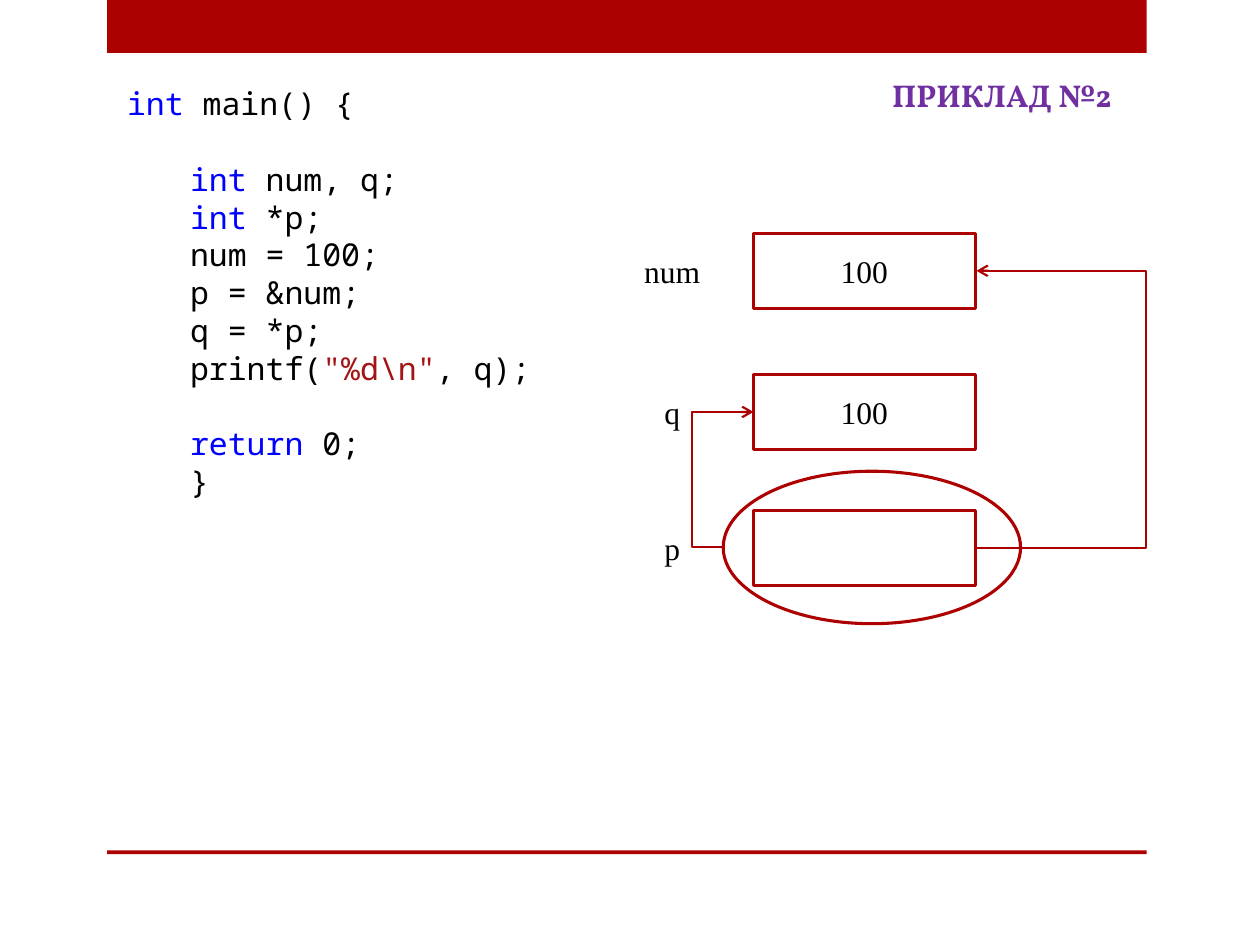
import pptx
import pptx.dml.color
import pptx.enum.shapes
import pptx.enum.text
import pptx.oxml
import pptx.oxml.ns
import pptx.util
from pptx.util import Inches

RED = pptx.dml.color.RGBColor(0xAD, 0x01, 0x01)
WHITE = pptx.dml.color.RGBColor(0xFF, 0xFF, 0xFF)
BLACK = pptx.dml.color.RGBColor(0x00, 0x00, 0x00)
PURPLE = pptx.dml.color.RGBColor(0x70, 0x30, 0xA0)
KEYWORD = pptx.dml.color.RGBColor(0x00, 0x00, 0xFF)
STRING = pptx.dml.color.RGBColor(0xA3, 0x15, 0x15)
SHAPE = pptx.enum.shapes.MSO_SHAPE
ANCHOR = pptx.enum.text.MSO_ANCHOR
ALIGN = pptx.enum.text.PP_ALIGN
LINE_HEIGHT = pptx.util.Pt(21.6)


def write(para, text, font="Times New Roman", color=BLACK, bold=False, align=ALIGN.LEFT):
    """Append a formatted run to a paragraph."""
    para.alignment = align
    span = para.add_run()
    span.text = text
    span.font.name = font
    span.font.size = pptx.util.Pt(18)
    span.font.bold = bold
    span.font.color.rgb = color


def draw(kind, left, top, width, height, fill=None, line=None):
    """Add a preset shape without shadow; no colour means no fill or line."""
    shape = page.shapes.add_shape(
        kind, Inches(left), Inches(top), Inches(width), Inches(height))
    shape.shadow.inherit = False
    for part, color in ((shape.fill, fill), (shape.line.fill, line)):
        if color is None:
            part.background()
        else:
            part.solid()
            part.fore_color.rgb = color
    if line is not None:
        shape.line.width = pptx.util.Pt(1.75)
    return shape


deck = pptx.Presentation()
deck.slide_width, deck.slide_height = Inches(10), Inches(7.5)
page = deck.slides.add_slide(deck.slide_layouts[5])

# Theme bars
for top, height in ((0, 0.42), (6.75, 0.03)):
    draw(SHAPE.RECTANGLE, 0.85, top, 8.25, height, fill=RED)

# Title
title = page.shapes.title
title.left, title.top = Inches(6.98), Inches(0.55)
title.width, title.height = Inches(2.03), Inches(0.4)
title.text_frame.word_wrap = False
title.text_frame.auto_size = pptx.enum.text.MSO_AUTO_SIZE.NONE
title.text_frame.vertical_anchor = ANCHOR.TOP
write(title.text_frame.paragraphs[0], "ПРИКЛАД №2", font="Vollkorn", color=PURPLE, bold=True)

# Code: (indented, gap above, coloured pieces)
code_lines = [
    (False, False, [("int", KEYWORD), (" main() {", BLACK)]),
    (True, True, [("int ", KEYWORD), ("num, q;", BLACK)]),
    (True, False, [("int", KEYWORD), (" *p;", BLACK)]),
    (True, False, [("num = 100;", BLACK)]),
    (True, False, [("p = &num;", BLACK)]),
    (True, False, [("q = *p;", BLACK)]),
    (True, False, [("printf(", BLACK), ('"%d\\n"', STRING), (", q);", BLACK)]),
    (True, True, [("return", KEYWORD), (" 0;", BLACK)]),
    (True, False, [("}", BLACK)]),
]
code = page.shapes.add_textbox(Inches(0.91), Inches(0.62), Inches(3.68), Inches(3.43))
code.text_frame.word_wrap = True
for index, (indented, gap, pieces) in enumerate(code_lines):
    para = code.text_frame.add_paragraph() if index else code.text_frame.paragraphs[0]
    if indented:
        properties = para._p.get_or_add_pPr()
        properties.set("marL", str(Inches(0.5)))
        properties.set("indent", "0")
    para.line_spacing = LINE_HEIGHT
    if gap:
        para.space_before = LINE_HEIGHT
    for text, color in pieces:
        write(para, text, font="Noto Sans Mono", color=color)

# Memory cells with their variable names
for name, value, top in (("num", "100", 1.85), ("q", "100", 2.97), ("p", "", 4.05)):
    cell = draw(SHAPE.RECTANGLE, 5.98, top, 1.76, 0.6, fill=WHITE, line=RED)
    label = page.shapes.add_textbox(Inches(4.82), Inches(top), Inches(1.03), Inches(0.6))
    for box, text in ((cell, value), (label, name)):
        box.text_frame.word_wrap = True
        box.text_frame.vertical_anchor = ANCHOR.MIDDLE
        if text:
            write(box.text_frame.paragraphs[0], text, align=ALIGN.CENTER)

draw(SHAPE.OVAL, 5.74, 3.74, 2.36, 1.21, line=RED)

# Elbow arrows: p points to num, the value behind p goes to q
for start_x, start_y, end_x, end_y, bend_x in (
        (7.74, 4.35, 7.75, 2.15, 9.12),
        (5.74, 4.34, 5.98, 3.27, 5.49)):
    arrow = page.shapes.add_connector(
        pptx.enum.shapes.MSO_CONNECTOR.ELBOW,
        Inches(start_x), Inches(start_y), Inches(end_x), Inches(end_y))
    arrow.line.color.rgb = RED
    arrow.line.width = pptx.util.Pt(1.25)
    properties = arrow.element.spPr
    bend = round((bend_x - start_x) / (end_x - start_x) * 100000)
    guides = properties.find(".//" + pptx.oxml.ns.qn("a:avLst"))
    guides.append(pptx.oxml.parse_xml(
        f'<a:gd {pptx.oxml.ns.nsdecls("a")} name="adj1" fmla="val {bend}"/>'))
    outline = properties.find(pptx.oxml.ns.qn("a:ln"))
    outline.append(pptx.oxml.parse_xml(
        f'<a:tailEnd {pptx.oxml.ns.nsdecls("a")} type="arrow"/>'))
    properties.append(pptx.oxml.parse_xml(f'<a:effectLst {pptx.oxml.ns.nsdecls("a")}/>'))

deck.save("out.pptx")
